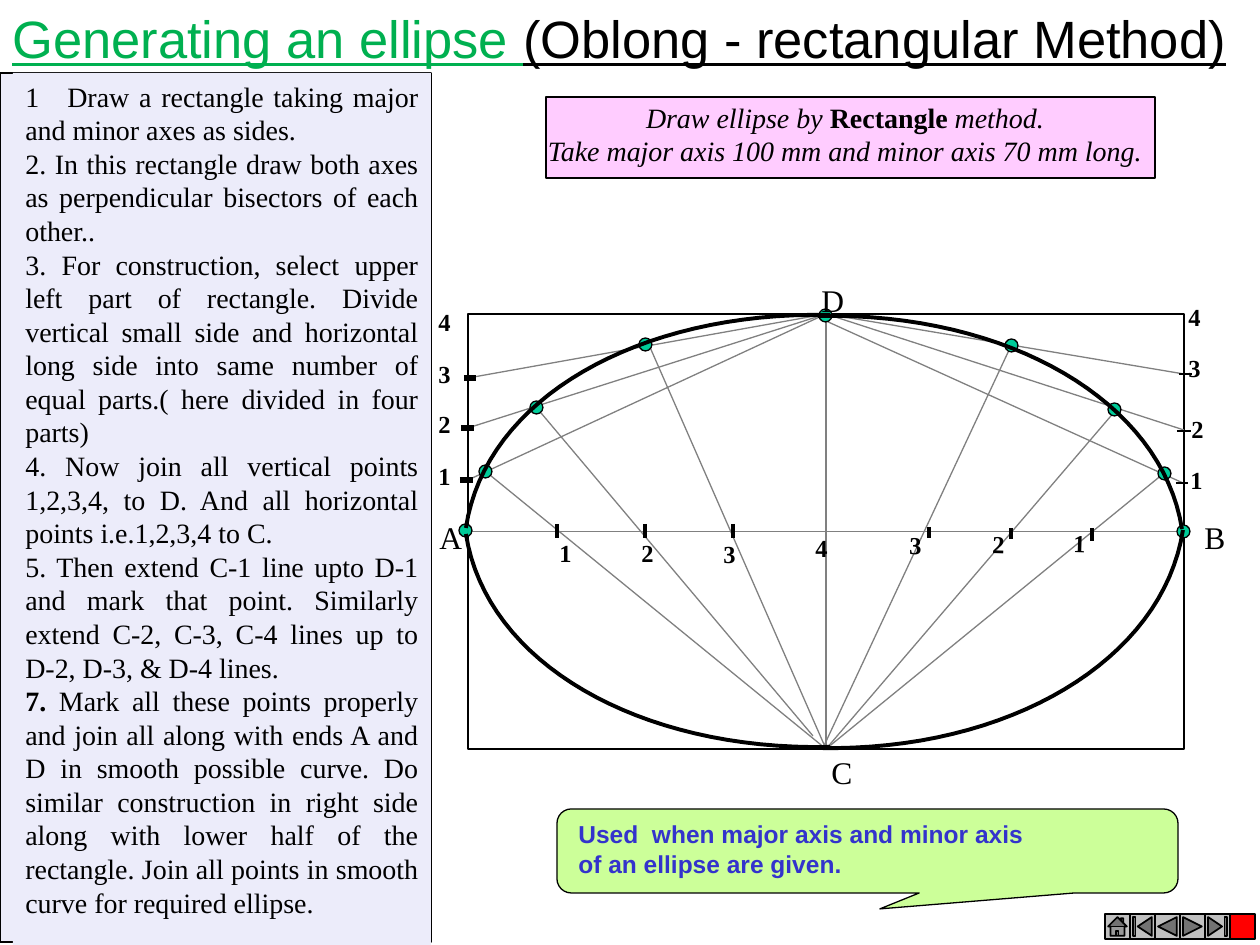
"""Build a slide on drawing an ellipse by the rectangle method."""
from lxml import etree
from pptx import Presentation
from pptx.dml.color import RGBColor
from pptx.enum.shapes import MSO_CONNECTOR, MSO_SHAPE
from pptx.enum.text import MSO_ANCHOR, MSO_AUTO_SIZE, PP_ALIGN
from pptx.oxml.ns import qn
from pptx.util import Pt

PX = 914400 / 126
STRAIGHT = MSO_CONNECTOR.STRAIGHT
RECTANGLE, OVAL = MSO_SHAPE.RECTANGLE, MSO_SHAPE.OVAL
CALLOUT = MSO_SHAPE.ROUNDED_RECTANGULAR_CALLOUT
LEFT, CENTER, JUSTIFY = PP_ALIGN.LEFT, PP_ALIGN.CENTER, PP_ALIGN.JUSTIFY
GREY, BLACK = "808080", "000000"

SERIF = {"name": "Times New Roman", "color": BLACK}
NUMBER = {**SERIF, "size": 14, "bold": True}
LETTER = {**SERIF, "size": 18}
BODY = {**SERIF, "size": 16}
ITALIC = {**BODY, "italic": True}
TITLE = {"name": "Arial", "size": 30, "underline": True, "color": BLACK}
NOTE = {"name": "Arial", "size": 14, "bold": True, "color": "3333CC"}

TITLE_TEXT = [[("Generating an ellipse ", {**TITLE, "color": "00B050"}),
               ("(Oblong - rectangular Method)", TITLE)]]
PROBLEM = [
    [("Draw ellipse by ", ITALIC), ("Rectangle", {**BODY, "bold": True}), (" method.", ITALIC)],
    [("Take major axis 100 mm and minor axis 70 mm long.", ITALIC)],
]
STEPS = [
    [("1\tDraw a rectangle taking major and minor axes as sides.", BODY)],
    [("2. In this rectangle draw both axes as perpendicular bisectors of each other..", BODY)],
    [("3. For construction, select upper left part of rectangle. Divide vertical small side and "
      "horizontal long side into same number of equal parts.( here divided in four parts)", BODY)],
    [("4. Now join all vertical points 1,2,3,4, to D. And all horizontal points i.e.1,2,3,4 to C.",
      BODY)],
    [("5. Then extend C-1 line upto D-1 and mark that point. Similarly extend C-2, C-3, C-4 lines "
      "up to D-2, D-3, & D-4 lines.", BODY)],
    [("7.", {**BODY, "bold": True}),
     (" Mark all these points properly and join all along with ends A and D in smooth possible "
      "curve. Do similar construction in right side along with lower half of the rectangle. "
      "Join all points in smooth curve for required ellipse.", BODY)],
]
USE = [[("Used  when major axis and minor axis", NOTE)], [("of an ellipse are given.", NOTE)]]

POINT_D, POINT_C = (826, 314), (826, 749)
RAYS = [
    (POINT_D, (468, 480)), (POINT_D, (468, 428)), (POINT_D, (468, 378)),
    (POINT_C, (485, 471)), ((813, 736), (536, 407)), (POINT_C, (649, 345)),
    ((826, 321), (1183, 483)), (POINT_D, (1184, 430)), (POINT_D, (1184, 374)),
    (POINT_C, (1163, 474)), (POINT_C, (1116, 410)), ((823, 748), (1011, 346)),
]
# (x, y, width, height) of tick marks, by line weight
TICKS = {
    3: [(460, 480, 13, 0), (461, 428, 13, 0), (464, 378, 12, 0)],
    2.25: [(557, 524, 0, 14), (645, 524, 0, 14), (733, 524, 0, 14),
           (929, 527, 0, 11), (1011, 528, 0, 11), (1092, 528, 0, 13)],
    0.75: [(1176, 483, 12, 0), (1177, 431, 14, 0), (1179, 374, 13, 0)],
}
NUMBERS = {
    0: [("1", 426, 455), ("2", 426, 403), ("3", 426, 353), ("4", 426, 301),
        ("1", 547, 532), ("2", 629, 532), ("3", 711, 533), ("4", 803, 527),
        ("1", 1178, 459), ("2", 1179, 408), ("3", 1176, 347), ("4", 1176, 296)],
    1.7: [("3", 897, 524), ("2", 980, 523), ("1", 1061, 522)],
}
LETTERS = [("A", 427, 512), ("B", 1192, 512), ("C", 819, 747), ("D", 809, 275)]
DOTS = [(459, 524), (479, 465), (530, 401), (639, 338), (819, 309),
        (1177, 525), (1005, 339), (1108, 403), (1158, 467)]
QUARTERS = [
    [(830, 315), (638, 311), (485, 399), (466, 528)],
    [(818, 316), (1009, 312), (1162, 402), (1182, 529)],
    [(830, 747), (639, 751), (486, 663), (466, 534)],
    [(818, 748), (1009, 752), (1163, 660), (1183, 530)],
]
BUTTONS = [
    (MSO_SHAPE.ACTION_BUTTON_HOME, "C0C0C0"),
    (MSO_SHAPE.ACTION_BUTTON_BEGINNING, "C0C0C0"),
    (MSO_SHAPE.ACTION_BUTTON_BACK_OR_PREVIOUS, "C0C0C0"),
    (MSO_SHAPE.ACTION_BUTTON_FORWARD_OR_NEXT, "C0C0C0"),
    (MSO_SHAPE.ACTION_BUTTON_END, "C0C0C0"),
    (MSO_SHAPE.ACTION_BUTTON_CUSTOM, "FF0000"),
]


def emu(*lengths):
    return [round(length * PX) for length in lengths]


def color(value):
    return RGBColor.from_string(value)


def set_line(shape, value, weight):
    shape.line.color.rgb = color(value)
    shape.line.width = Pt(weight)


def add_box(page, kind, bounds, fill, weight=0.75):
    box = page.shapes.add_shape(kind, *emu(*bounds))
    box.shadow.inherit = False
    box.fill.solid()
    box.fill.fore_color.rgb = color(fill)
    if weight:
        set_line(box, BLACK, weight)
    else:
        box.line.fill.background()
    return box


def add_line(page, start, end, value=GREY, weight=0.75):
    line = page.shapes.add_connector(STRAIGHT, *emu(*start, *end))
    set_line(line, value, weight)
    etree.SubElement(line._element.spPr, qn("a:effectLst"))
    return line


def write(box, paragraphs, align=LEFT, wrap=False):
    frame = box.text_frame
    frame.word_wrap = wrap
    frame.auto_size = MSO_AUTO_SIZE.SHAPE_TO_FIT_TEXT
    frame.vertical_anchor = MSO_ANCHOR.TOP
    for index, spans in enumerate(paragraphs):
        para = frame.add_paragraph() if index else frame.paragraphs[0]
        para.alignment = align
        for text, style in spans:
            span = para.add_run()
            span.text = text
            for key, value in style.items():
                if key == "color":
                    span.font.color.rgb = color(value)
                else:
                    setattr(span.font, key, Pt(value) if key == "size" else value)


def add_text(page, bounds, paragraphs, align=LEFT, wrap=False):
    box = page.shapes.add_textbox(*emu(*bounds))
    write(box, paragraphs, align, wrap)
    return box


def add_curve(page, controls, steps=32):
    points = []
    for step in range(steps + 1):
        t = step / steps
        weights = ((1 - t) ** 3, 3 * t * (1 - t) ** 2, 3 * t * t * (1 - t), t ** 3)
        points.append(emu(*(sum(w * v for w, v in zip(weights, axis)) for axis in zip(*controls))))
    builder = page.shapes.build_freeform(*points[0])
    builder.add_line_segments(points[1:], close=False)
    curve = builder.convert_to_shape()
    curve.shadow.inherit = False
    curve.fill.background()
    set_line(curve, BLACK, 2.25)


def draw_ellipse(page):
    oblong = add_box(page, RECTANGLE, (468, 314, 716, 435), "FFFFFF")
    major = add_line(page, (468, 532), (1184, 532))
    major.begin_connect(oblong, 1)
    major.end_connect(oblong, 3)
    add_line(page, (826, 301), POINT_C).end_connect(oblong, 2)
    sides = {POINT_D: 0, POINT_C: 2}
    for start, end in RAYS:
        ray = add_line(page, start, end)
        if start in sides:
            ray.begin_connect(oblong, sides[start])
    for weight, ticks in TICKS.items():
        for x, y, width, height in ticks:
            add_line(page, (x, y), (x + width, y + height), BLACK, weight)
    for x, y in DOTS:
        add_box(page, OVAL, (x, y, 13, 13), "00CC99")
    for controls in QUARTERS:
        add_curve(page, controls)
    for angle, numbers in NUMBERS.items():
        for text, x, y in numbers:
            add_text(page, (x, y, 38, 42), [[(text, NUMBER)]]).rotation = angle
    for text, x, y in LETTERS:
        add_text(page, (x, y, 48, 50), [[(text, LETTER)]])


def draw_notes(page):
    add_box(page, RECTANGLE, (546, 97, 609, 81), "FFCCFF")
    add_text(page, (525, 94, 640, 58), PROBLEM, CENTER, True)
    add_box(page, RECTANGLE, (0, 73, 431, 869), "ECECFA")
    panel = add_box(page, RECTANGLE, (13, 73, 418, 872), "ECECFA", 0)
    write(panel, STEPS, JUSTIFY, True)
    properties = panel.text_frame.paragraphs[0]._p.get_or_add_pPr()
    tabs = etree.SubElement(properties, qn("a:tabLst"))
    etree.SubElement(tabs, qn("a:tab"), pos=str(emu(42)[0]), algn="l")
    for index, (kind, fill) in enumerate(BUTTONS):
        add_box(page, kind, (1105 + 25 * index, 914, 25, 25), fill, 1)
    add_text(page, (0, 0, 1249, 77), TITLE_TEXT)
    callout = add_box(page, CALLOUT, (557, 809, 621, 84), "CCFF99")
    for index, value in enumerate((0.02, 0.69, 0.17)):
        callout.adjustments[index] = value
    add_text(page, (566, 813, 479, 72), USE)


def main():
    deck = Presentation()
    deck.slide_width, deck.slide_height = emu(1260, 945)
    page = deck.slides.add_slide(deck.slide_layouts[6])
    draw_ellipse(page)
    draw_notes(page)
    deck.save("out.pptx")


if __name__ == "__main__":
    main()
